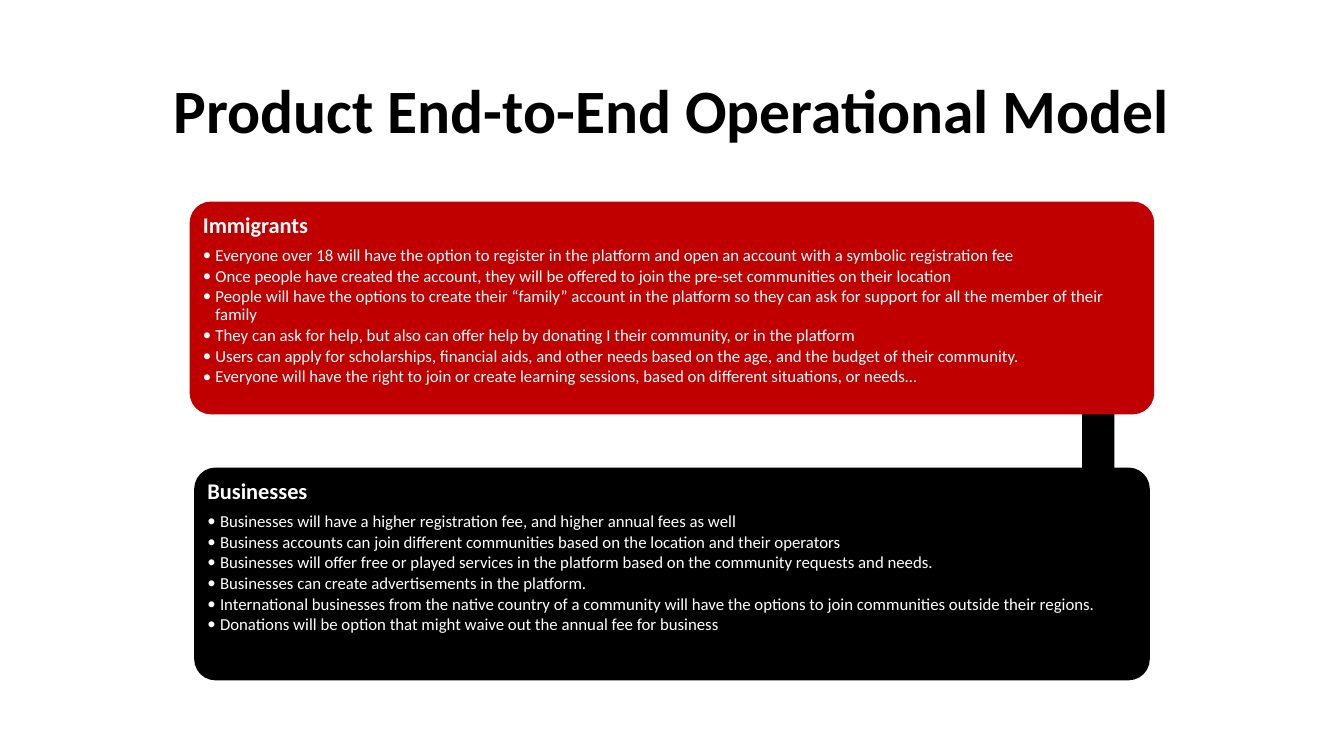
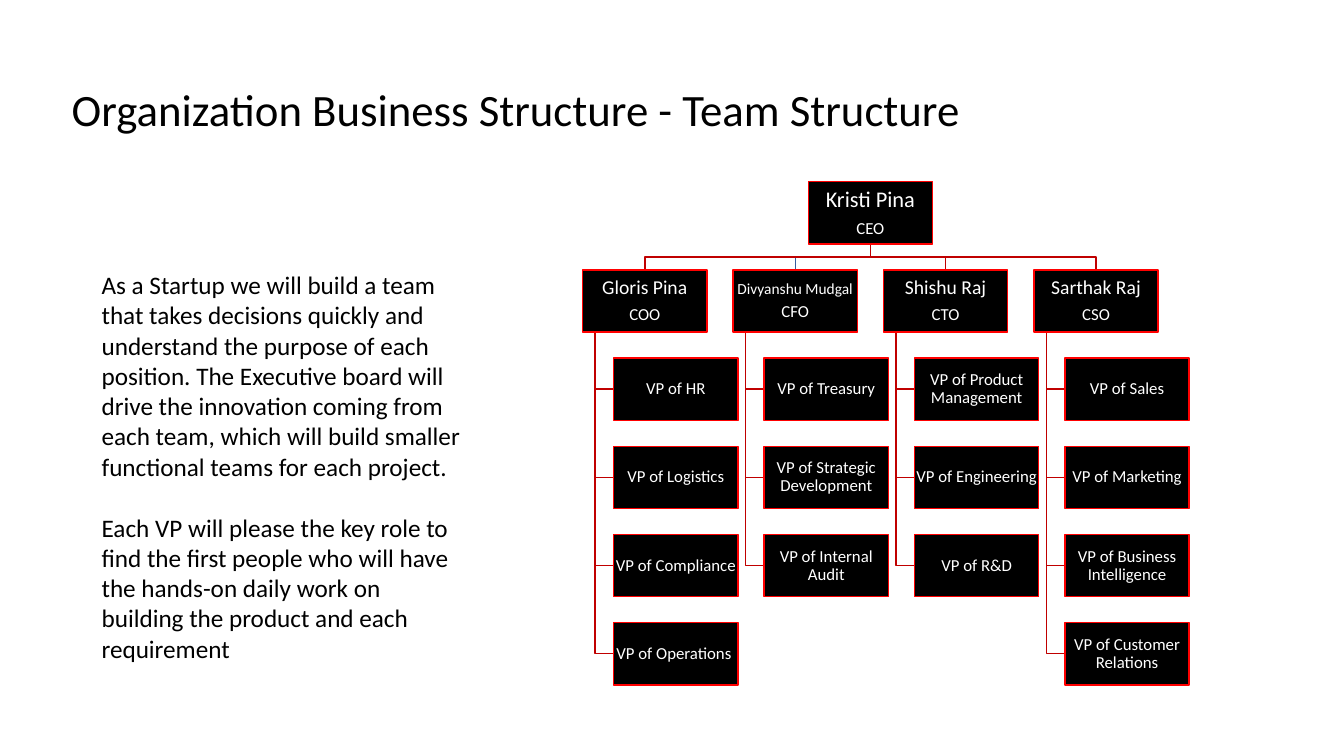
import pptx
import pptx.dml.color
import pptx.enum.shapes
import pptx.enum.text
import pptx.oxml
import pptx.oxml.ns
import pptx.util
from lxml import etree

Pt = pptx.util.Pt
SHAPE = pptx.enum.shapes.MSO_SHAPE
ALIGN = pptx.enum.text.PP_ALIGN
ANCHOR = pptx.enum.text.MSO_ANCHOR
SIZE = pptx.enum.text.MSO_AUTO_SIZE

COLORS = {"black": "000000", "white": "FFFFFF", "red": "C00000",
          "edge": "FF0000", "blue": "365B9D"}
FONT = "Calibri"

PANELS = [
    ("Immigrants", "red", (135.5, 144, 689, 152), [
        "Everyone over 18 will have the option to register in the platform and open an account with a symbolic registration fee",
        "Once people have created the account, they will be offered to join the pre-set communities on their location",
        "People will have the options to create their “family” account in the platform so they can ask for support for all the member of their family",
        "They can ask for help, but also can offer help by donating I their community, or in the platform",
        "Users can apply for scholarships, financial aids, and other needs based on the age, and the budget of their community.",
        "Everyone will have the right to join or create learning sessions, based on different situations, or needs…",
    ]),
    ("Businesses", "black", (138.7, 334, 682.6, 152), [
        "Businesses will have a higher registration fee, and higher annual fees as well",
        "Business accounts can join different communities based on the location and their operators",
        "Businesses will offer free or played services in the platform based on the community requests and needs.",
        "Businesses can create advertisements in the platform.",
        "International businesses from the native country of a community will have the options to join communities outside their regions.",
        "Donations will be option that might waive out the annual fee for business",
    ]),
]

HEAD = ("Kristi Pina", "CEO", 16)
# name, role, name size, colour of the line from the head, reports
TEAMS = [
    ("Gloris Pina", "COO", 14, "red",
     ["VP of HR", "VP of Logistics", "VP of Compliance", "VP of Operations "]),
    ("Divyanshu Mudgal", "CFO", 11, "blue",
     ["VP of Treasury", "VP of Strategic Development", "VP of Internal Audit"]),
    ("Shishu Raj", "CTO", 14, "red",
     ["VP of Product Management", "VP of Engineering", "VP of R&D"]),
    ("Sarthak Raj", "CSO", 14, "red",
     ["VP of Sales", "VP of Marketing", "VP of Business Intelligence",
      "VP of Customer Relations"]),
]

STORY = [
    "As a Startup we will build a team that takes decisions quickly and understand the purpose of each position. The Executive board will drive the innovation coming from each team, which will build smaller functional teams for each project.",
    "Each VP will please the key role to find the first people who will have the hands-on daily work on building the product and each requirement",
]


def rgb(color):
    return pptx.dml.color.RGBColor.from_string(COLORS[color])


def assign(target, values):
    for key, value in values.items():
        setattr(target, key, value)


def place(box):
    return [Pt(value) for value in box]


def setup(frame, anchor, inset=None):
    assign(frame, {"word_wrap": True, "auto_size": SIZE.NONE,
                   "vertical_anchor": anchor})
    if inset is not None:
        sides = ("left", "top", "right", "bottom")
        assign(frame, {f"margin_{side}": Pt(inset) for side in sides})


def write(frame, index, text, size, color, bold=False, **layout):
    """Fill paragraph number index, adding it when it is not the first."""
    para = frame.add_paragraph() if index else frame.paragraphs[0]
    assign(para, {"alignment": ALIGN.LEFT, **layout})
    run = para.add_run()
    run.text = text
    assign(run.font, {"name": FONT, "size": Pt(size), "bold": bold})
    run.font.color.rgb = rgb(color)
    return para


def bullet(para, indent):
    props = para._p.get_or_add_pPr()
    props.set("marL", str(Pt(indent)))
    props.set("indent", str(-Pt(indent)))
    for tag, key, value in (("a:buFont", "typeface", FONT),
                            ("a:buChar", "char", "•")):
        etree.SubElement(props, pptx.oxml.ns.qn(tag)).set(key, value)


def outline(shape, color):
    shape.line.color.rgb = rgb(color)
    shape.line.width = Pt(1)


def block(slide, kind, box, fill, edge=None):
    shape = slide.shapes.add_shape(kind, *place(box))
    shape.shadow.inherit = False
    shape.fill.solid()
    shape.fill.fore_color.rgb = rgb(fill)
    if edge:
        outline(shape, edge)
    else:
        shape.line.fill.background()
    return shape


def elbow(slide, *points, color="red"):
    """Draw an open bent line through the points."""
    start, *rest = [place(point) for point in points]
    pen = slide.shapes.build_freeform(*start)
    pen.add_line_segments(rest, close=False)
    shape = pen.convert_to_shape()
    shape.shadow.inherit = False
    shape.fill.background()
    outline(shape, color)


def begin(deck, title, box, size, **layout):
    """Add a title-only slide and set its title."""
    slide = deck.slides.add_slide(deck.slide_layouts[5])
    shape = slide.shapes.title
    sides = ("left", "top", "width", "height")
    assign(shape, dict(zip(sides, place(box))))
    setup(shape.text_frame, ANCHOR.MIDDLE)
    write(shape.text_frame, 0, title, size, "black",
          line_spacing=0.9, **layout)
    return slide


def panel(slide, box, title, fill, items):
    shape = block(slide, SHAPE.ROUNDED_RECTANGLE, box, fill)
    shape.adjustments[0] = 0.1
    frame = shape.text_frame
    setup(frame, ANCHOR.TOP, 5)
    frame.margin_top = Pt(4.4)
    write(frame, 0, title, 16, "white", bold=True,
          line_spacing=0.9, space_after=Pt(6.2))
    for index, item in enumerate(items, 1):
        para = write(frame, index, item, 12, "white", level=1,
                     line_spacing=0.9, space_after=Pt(1.8))
        bullet(para, 9)


def card(slide, box, *lines):
    """Draw one chart box; lines are (text, size) pairs."""
    frame = block(slide, SHAPE.RECTANGLE, box, "black", "edge").text_frame
    setup(frame, ANCHOR.MIDDLE, 0.6)
    for index, (text, size) in enumerate(lines):
        write(frame, index, text, size, "white", alignment=ALIGN.CENTER,
              line_spacing=0.9, space_after=Pt(0.35 * size))


def column(slide, box, step, team):
    """Draw a chief in the given box with the reports below."""
    name, role, size, _, posts = team
    left, top, wide, high = box
    trunk = left + wide / 10
    inner = left + wide / 4
    for row, post in reversed(list(enumerate(posts, 1))):
        y = top + step * row
        mid = y + high / 2
        elbow(slide, (trunk, top + high), (trunk, mid), (inner, mid))
        card(slide, (inner, y, wide, high), (post, 12))
    card(slide, box, (name, size), (role, 12))


def tree(slide, box):
    """Draw the organization chart, sized from the box it fills."""
    left, top, width, height = box
    # five row steps and one box high
    step = height / 5.705
    high = step * 0.705
    # three column pitches, a quarter indent and one box wide
    wide = width / 4.88
    pitch = wide * 1.21
    spots = [left + pitch * col for col in range(len(TEAMS))]
    center = (spots[0] + spots[-1] + wide) / 2
    bus = top + (high + step) / 2
    for x, team in reversed(list(zip(spots, TEAMS))):
        drop = x + wide / 2
        elbow(slide, (center, top + high), (center, bus), (drop, bus),
              (drop, top + step), color=team[3])
        column(slide, (x, top + step, wide, high), step, team)
    name, role, size = HEAD
    card(slide, (center - wide / 2, top, wide, high), (name, size), (role, 12))


def story(slide, box):
    frame = slide.shapes.add_textbox(*place(box)).text_frame
    setup(frame, ANCHOR.TOP)
    for index, text in enumerate(STORY):
        write(frame, index, text, 18, "black",
              space_before=Pt(22 * index))


def model(deck):
    slide = begin(deck, "Product End-to-End Operational Model",
                  (66, 29, 828, 104), 44, bold=True, alignment=ALIGN.CENTER)
    block(slide, SHAPE.RECTANGLE, (773, 175, 23, 190), "black")
    for title, fill, box, items in PANELS:
        panel(slide, box, title, fill, items)


def staff(deck):
    slide = begin(deck, "Organization Business Structure - Team Structure",
                  (44, 51, 883, 58), 32)
    tree(slide, (416.2, 129.8, 433.3, 359.4))
    story(slide, (65.5, 189, 272, 291))


def main():
    deck = pptx.Presentation()
    assign(deck, {"slide_width": Pt(960), "slide_height": Pt(540)})
    model(deck)
    staff(deck)
    deck.save("out.pptx")


if __name__ == "__main__":
    main()
